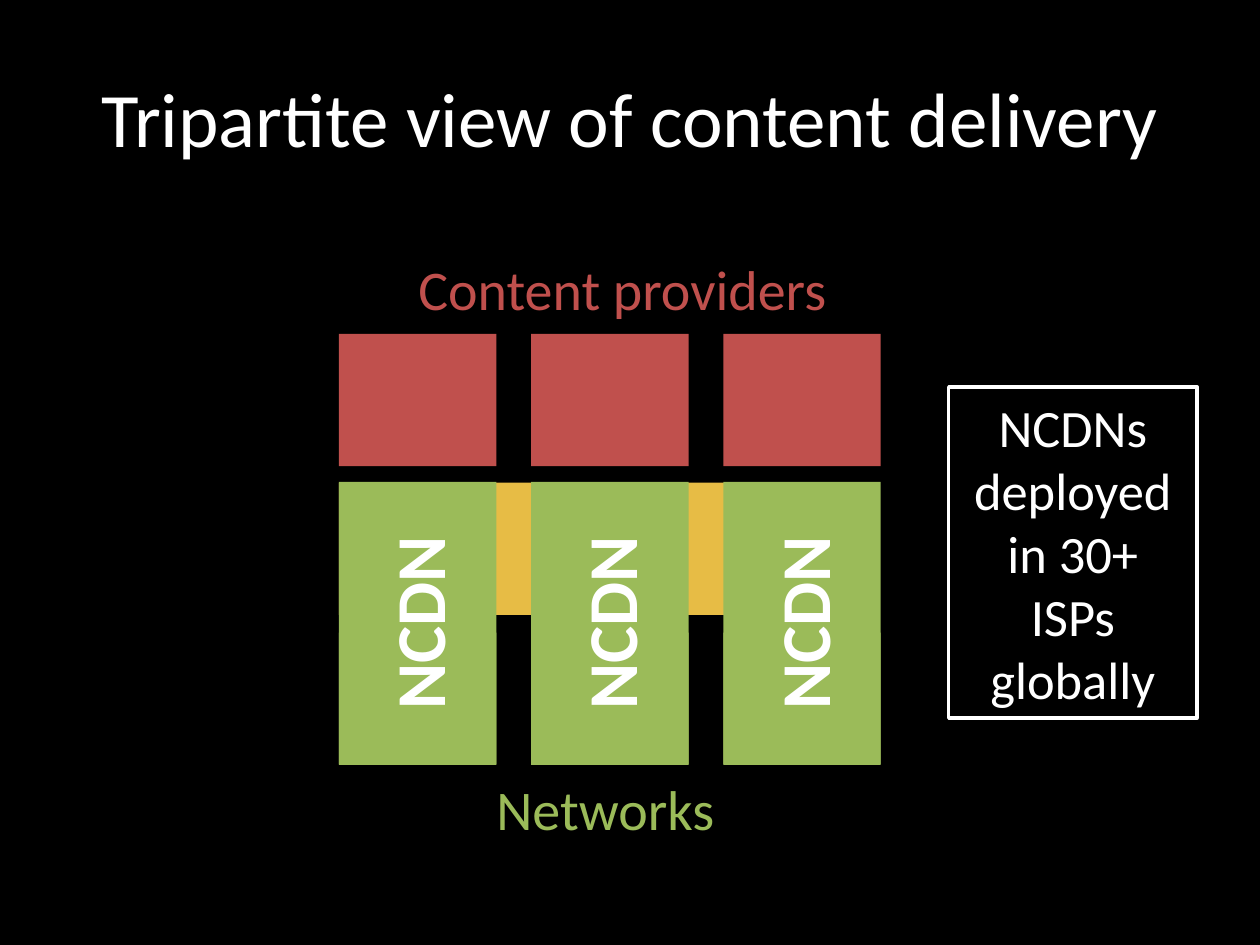
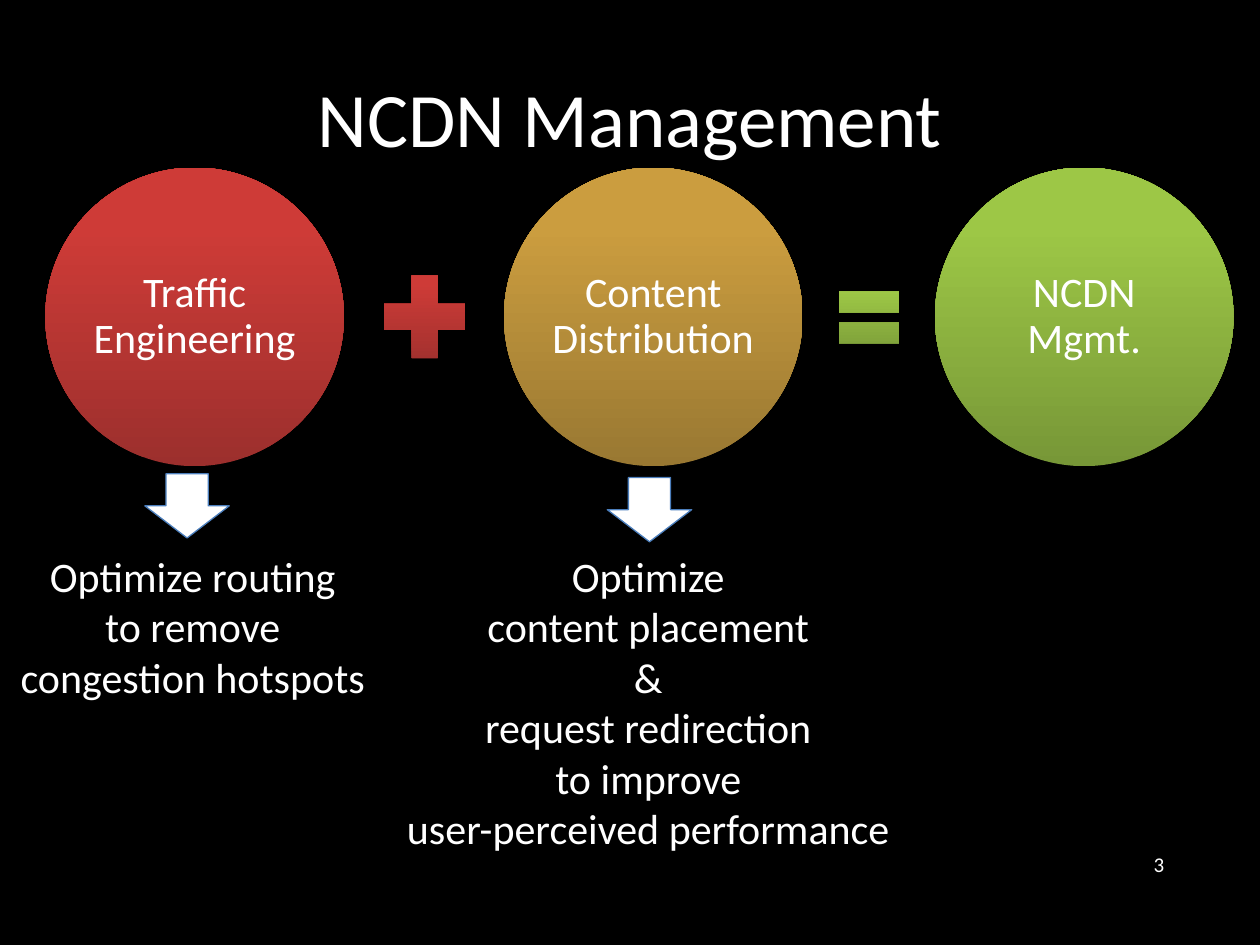
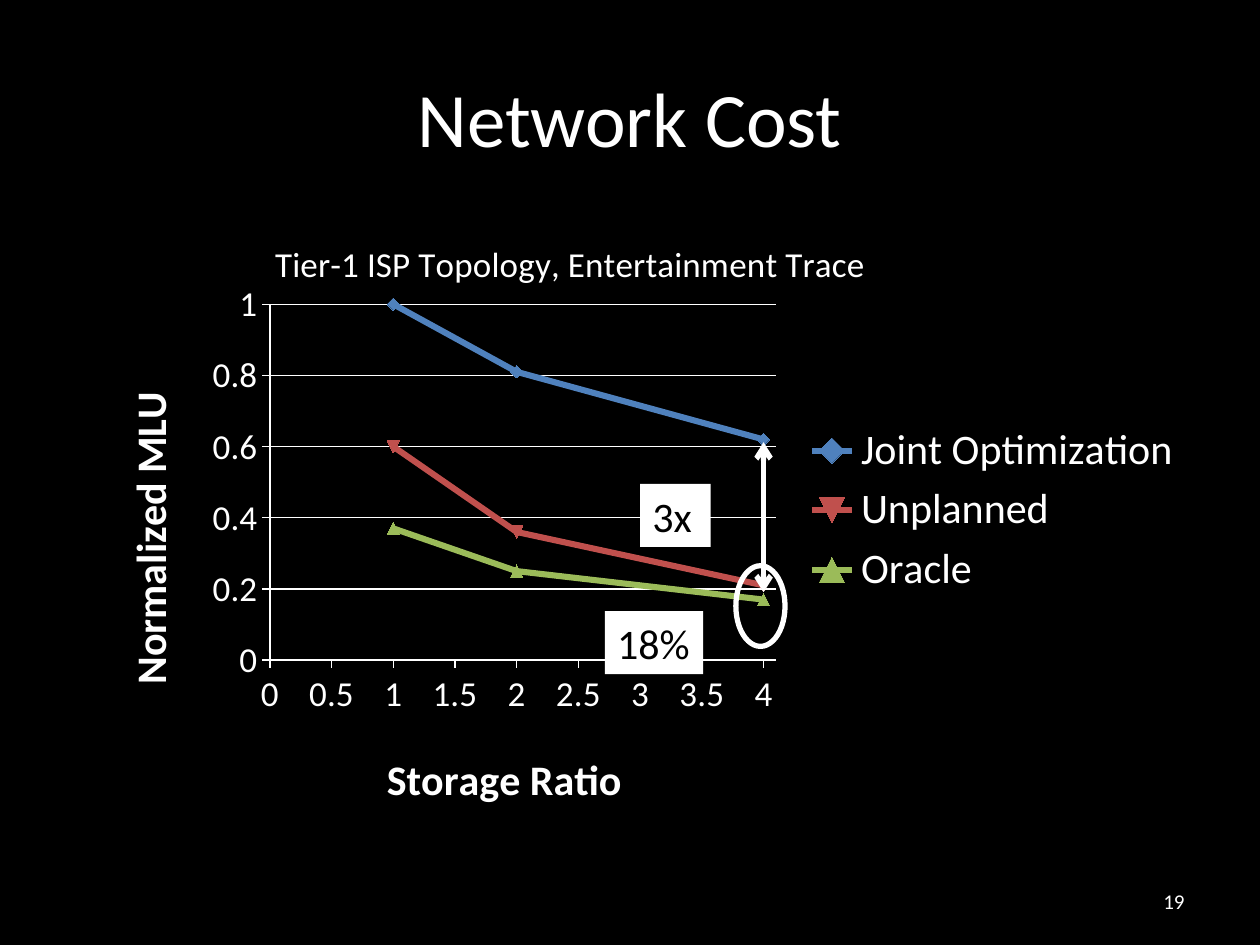
from lxml import etree
from pptx import Presentation
from pptx.chart.data import XyChartData
from pptx.dml.color import RGBColor
from pptx.enum.chart import XL_CHART_TYPE, XL_LEGEND_POSITION, XL_TICK_MARK
from pptx.enum.shapes import MSO_CONNECTOR, MSO_SHAPE
from pptx.enum.text import MSO_ANCHOR, PP_ALIGN
from pptx.oxml.ns import qn
from pptx.util import Inches, Pt

# Shared look
FONT = "Calibri"
BLACK, WHITE = "000000", "FFFFFF"
BLUE, RED, GREEN, GOLD = "4F81BD", "C0504D", "9BBB59", "E7BC45"
RED_BLEND = ("9C2F2D", "CE3B37")
GOLD_BLEND = ("997832", "CB9D3F")
GREEN_BLEND = ("779737", "9DC746")
rgb = RGBColor.from_string


def add_part(slide, kind, at, text="", fill=None, line=None, width=2, size=24, color=WHITE,
             bold=False, align=PP_ALIGN.CENTER, anchor=MSO_ANCHOR.MIDDLE, spacing=1.0, inset=0.1):
    """Add a preset shape, or a text box when kind is None; a pair as fill is a gradient."""
    box = [Inches(value) for value in at]
    if kind is None:
        part = slide.shapes.add_textbox(*box)
    else:
        part = slide.shapes.add_shape(kind, *box)
        part.shadow.inherit = False
    if isinstance(fill, tuple):
        part.fill.gradient()
        part.fill.gradient_angle = 90
        for stop, position, shade in zip(part.fill.gradient_stops, (0, 0.8), fill):
            stop.position = position
            stop.color.rgb = rgb(shade)
    elif fill:
        part.fill.solid()
        part.fill.fore_color.rgb = rgb(fill)
    else:
        part.fill.background()
    if line:
        part.line.color.rgb = rgb(line)
        part.line.width = Pt(width)
    else:
        part.line.fill.background()
    if text:
        frame = part.text_frame
        frame_format = {"text": text, "word_wrap": True, "vertical_anchor": anchor,
                        "margin_left": Inches(inset), "margin_right": Inches(inset)}
        for name, value in frame_format.items():
            setattr(frame, name, value)
        for paragraph in frame.paragraphs:
            paragraph.alignment = align
            paragraph.line_spacing = spacing
            for name, value in {"name": FONT, "size": Pt(size), "bold": bold}.items():
                setattr(paragraph.font, name, value)
            paragraph.font.color.rgb = rgb(color)
    return part


def set_layout(element, index, **places):
    """Give a chart element a fixed place, in fractions of the chart."""
    for old in element.findall(qn("c:layout")):
        element.remove(old)
    layout = etree.Element(qn("c:layout"))
    element.insert(index, layout)
    manual = etree.SubElement(layout, qn("c:manualLayout"))
    if "w" in places:
        etree.SubElement(manual, qn("c:layoutTarget"), val="inner")
    for mode in ("xMode", "yMode"):
        etree.SubElement(manual, qn("c:" + mode), val="edge")
    for name, value in places.items():
        etree.SubElement(manual, qn("c:" + name), val=str(value))


prs = Presentation()
prs.slide_width, prs.slide_height = Inches(10), Inches(7.5)
background = prs.slide_master.background.fill
background.solid()
background.fore_color.rgb = rgb(BLACK)

# Slides with their titles and page numbers
slides = []
for heading, number, number_at in [
    ("Tripartite view of content delivery", "", None),
    ("NCDN Management", "3", (7.01, 6.66, 2.33, 0.4)),
    ("Network Cost", "19", (7.17, 6.95, 2.33, 0.4)),
]:
    slide = prs.slides.add_slide(prs.slide_layouts[5])
    title = slide.shapes.title
    for name, value in {"left": 0.5, "top": 0.3, "width": 9, "height": 1.25}.items():
        setattr(title, name, Inches(value))
    title.text_frame.text = heading
    title_font = title.text_frame.paragraphs[0].font
    title_font.name, title_font.size = FONT, Pt(44)
    title_font.color.rgb = rgb(WHITE)
    if number:
        add_part(slide, None, number_at, number, size=12, align=PP_ALIGN.RIGHT)
    slides.append(slide)
tripartite, management, cost = slides

# Slide 1: three columns of providers and networks around the CDN band
column_lefts = [2.69 + 1.525 * i for i in range(3)]
for top, color in ((2.65, RED), (5.02, GREEN)):
    for left in column_lefts:
        add_part(tripartite, MSO_SHAPE.RECTANGLE, (left, top, 1.25, 1.05), fill=color)
add_part(tripartite, MSO_SHAPE.RECTANGLE, (2.69, 3.83, 4.29, 1.05), fill=GOLD)
for at, label, color in [
    ((3.63, 6.09, 2.35, 0.64), "Networks", GREEN),
    ((2.4, 1.97, 5.08, 0.64), "Content providers", RED),
]:
    add_part(tripartite, None, at, label, size=32, color=color)
for left in column_lefts:
    # The turned block is 2.24 long and 1.25 wide, centred on its column
    ncdn = add_part(tripartite, MSO_SHAPE.RECTANGLE, (left + (1.25 - 2.24) / 2, 4.32, 2.24, 1.25),
                    "NCDN", fill=GREEN, size=40, bold=True)
    ncdn.rotation = 270
add_part(tripartite, MSO_SHAPE.RECTANGLE, (7.53, 3.07, 1.97, 2.63),
         "NCDNs deployed in 30+ ISPs globally", fill=BLACK, line=WHITE, size=30)

# Slide 2: equation of circles
for left, label, blend in [
    (0.36, "Traffic Engineering", RED_BLEND),
    (4, "Content Distribution", GOLD_BLEND),
    (7.42, "NCDN Mgmt.", GREEN_BLEND),
]:
    add_part(management, MSO_SHAPE.OVAL, (left, 1.33, 2.37, 2.37), label, fill=blend,
             spacing=0.9, inset=0)
add_part(management, MSO_SHAPE.MATH_PLUS, (2.93, 2.07, 0.88, 0.89), fill=RED_BLEND)
add_part(management, MSO_SHAPE.MATH_EQUAL, (6.57, 2.17, 0.65, 0.7), fill=GREEN_BLEND)

# Slide 2: goals below the circles
for arrow_left, arrow_top, goal_at, goal in [
    (1.15, 3.76, (0.02, 4.32, 3.02, 1.31), "Optimize routing\nto remove congestion hotspots"),
    (4.82, 3.79, (2.85, 4.32, 4.59, 2.52),
     "Optimize\ncontent placement\n&\nrequest redirection\nto improve\nuser-perceived performance"),
]:
    add_part(management, MSO_SHAPE.DOWN_ARROW, (arrow_left, arrow_top, 0.67, 0.51),
             fill=WHITE, line="4B7EBC", width=0.75)
    add_part(management, None, goal_at, goal, anchor=MSO_ANCHOR.TOP)

# Slide 3: cost chart
costs = XyChartData()
for name, values in [
    ("Joint Optimization", (1, 0.81, 0.62)),
    ("Unplanned", (0.6, 0.36, 0.21)),
    ("Oracle", (0.37, 0.25, 0.17)),
]:
    series = costs.add_series(name)
    for ratio, value in zip((1, 2, 4), values):
        series.add_data_point(ratio, value)
chart = cost.shapes.add_chart(XL_CHART_TYPE.XY_SCATTER_LINES, Inches(0.73), Inches(1.55),
                              Inches(8.77), Inches(5), costs).chart
chart.font.name, chart.font.size = FONT, Pt(20)
chart.font.color.rgb = rgb(WHITE)
chart.plots[0].vary_by_categories = False
for series, color in zip(chart.plots[0].series, (BLUE, RED, GREEN)):
    series.smooth = False
    series.format.line.width = Pt(3.5)
    series.format.line.color.rgb = rgb(color)
    series.marker.size = 7
    series.marker.format.fill.solid()
    series.marker.format.fill.fore_color.rgb = rgb(color)
    series.marker.format.line.color.rgb = rgb(color)

# Slide 3: axes, legend and chart titles
x_axis, y_axis = chart.category_axis, chart.value_axis
for axis, top_value, step in ((x_axis, 4.1, 0.5), (y_axis, 1, 0.2)):
    axis_format = {"minimum_scale": 0, "maximum_scale": top_value, "major_unit": step,
                   "major_tick_mark": XL_TICK_MARK.OUTSIDE, "minor_tick_mark": XL_TICK_MARK.NONE,
                   "has_major_gridlines": axis is y_axis}
    for name, value in axis_format.items():
        setattr(axis, name, value)
    axis.tick_labels.number_format = "General"
    axis.tick_labels.number_format_is_linked = False
    axis.format.line.color.rgb = rgb(WHITE)
y_axis.major_gridlines.format.line.color.rgb = rgb(WHITE)
chart.has_legend = True
chart.legend.position = XL_LEGEND_POSITION.RIGHT
chart.legend.include_in_layout = False
chart.legend.font.name, chart.legend.font.size = FONT, Pt(24)
chart.legend.font.color.rgb = rgb(WHITE)
for caption, text, size, bold, x, y in [
    (chart.chart_title, "Tier-1 ISP Topology, Entertainment Trace", 20, False, 0.16, 0.06),
    (x_axis.axis_title, "Storage Ratio", 24, True, 0.26, 0.87),
    (y_axis.axis_title, "Normalized MLU", 24, True, 0.02, 0.3),
]:
    caption.text_frame.text = text
    caption_font = caption.text_frame.paragraphs[0].runs[0].font
    for name, value in {"name": FONT, "size": Pt(size), "bold": bold}.items():
        setattr(caption_font, name, value)
    caption_font.color.rgb = rgb(WHITE)
    set_layout(caption._element, 1, x=x, y=y)
plot_area = chart._chartSpace.find(".//" + qn("c:plotArea"))
set_layout(plot_area, 0, x=0.161, y=0.173, w=0.458, h=0.565)

# Slide 3: gap arrow and notes on the chart
gap = cost.shapes.add_connector(MSO_CONNECTOR.STRAIGHT, Inches(6.06), Inches(4.7),
                                Inches(6.06), Inches(3.51))
gap.line.color.rgb = rgb(WHITE)
gap.line.width = Pt(3)
for end in ("headEnd", "tailEnd"):
    etree.SubElement(gap.line._get_or_add_ln(), qn("a:" + end), type="arrow")
etree.SubElement(gap._element.spPr, qn("a:effectLst"))
add_part(cost, MSO_SHAPE.OVAL, (5.84, 4.49, 0.39, 0.64), line=WHITE, width=3)
for at, note in (((5.08, 3.84, 0.56, 0.5), "3x"), ((4.8, 4.85, 0.78, 0.5), "18%")):
    add_part(cost, MSO_SHAPE.RECTANGLE, at, note, fill=WHITE, color=BLACK, align=PP_ALIGN.LEFT)

prs.save("out.pptx")
